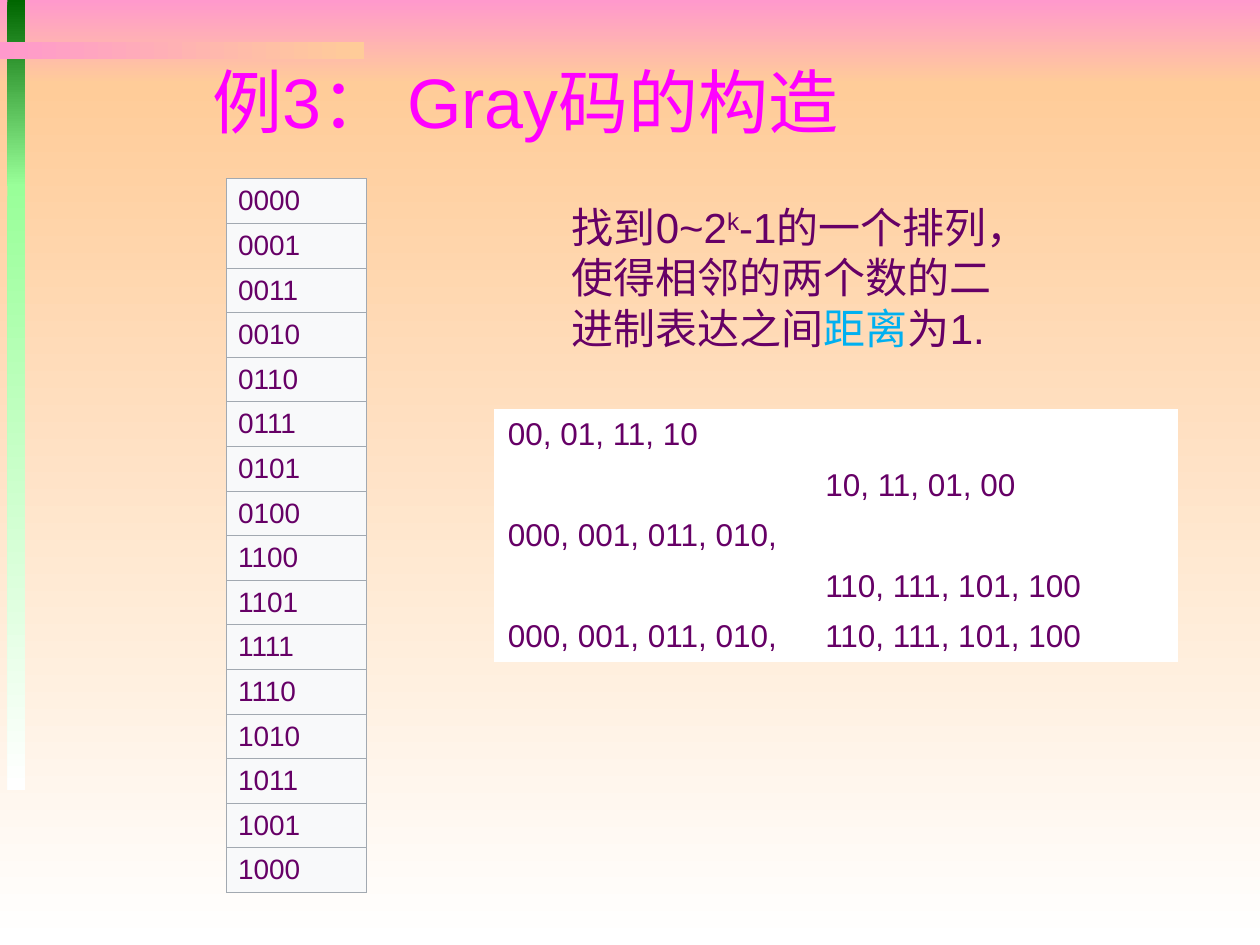
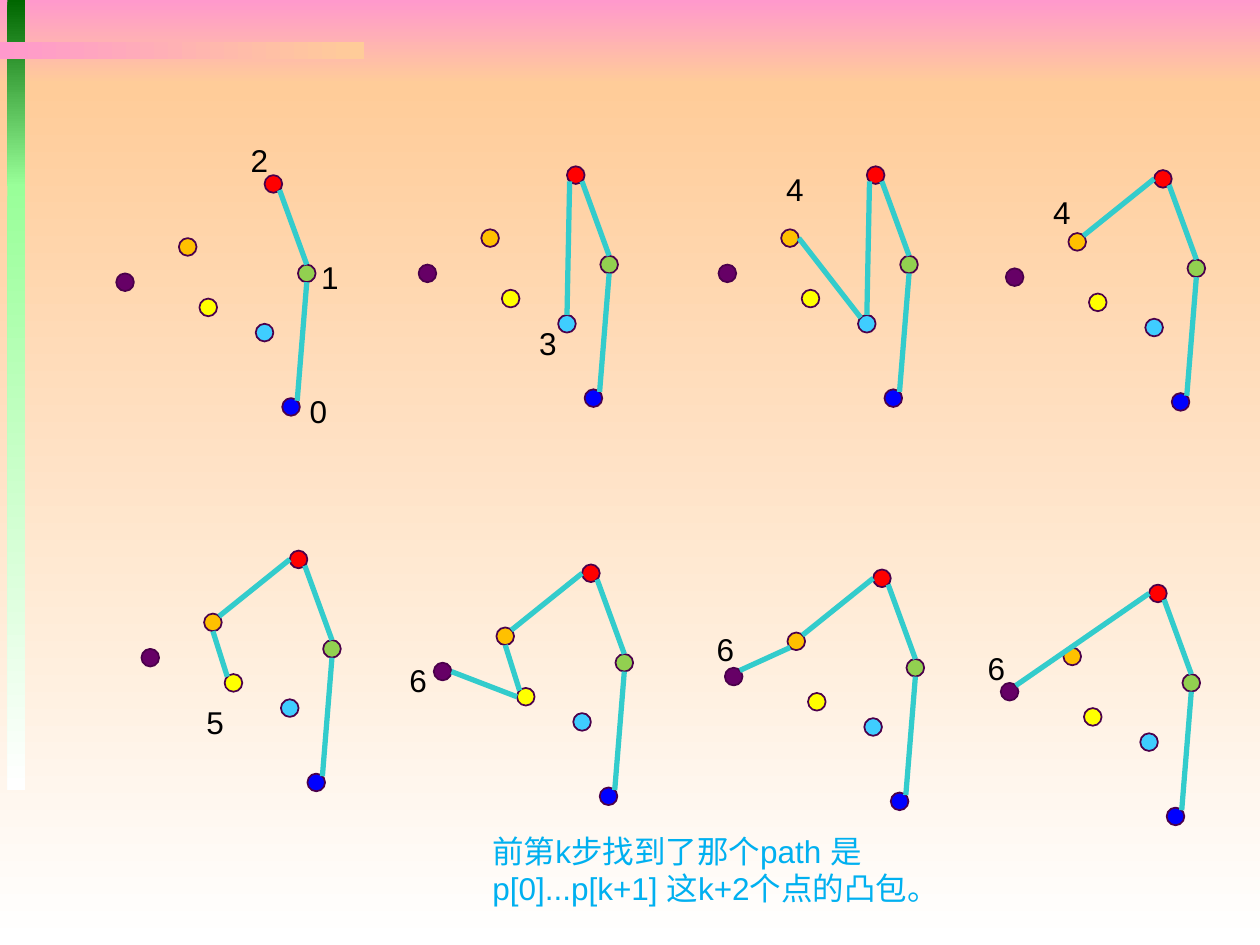
from lxml.etree import SubElement
from pptx import Presentation
from pptx.dml.color import RGBColor
from pptx.enum.shapes import MSO_CONNECTOR, MSO_SHAPE
from pptx.enum.text import MSO_ANCHOR, MSO_AUTO_SIZE, PP_ALIGN
from pptx.oxml import parse_xml
from pptx.oxml.ns import nsdecls, qn
from pptx.util import Inches, Pt

COLORS = {
    "pink": "FF99CC", "peach": "FFCC99", "white": "FFFFFF",
    "dark green": "006600", "light green": "99FF99",
    "title": "FF00FF", "text": "660066", "accent": "00B0F0", "label": "000000",
    "code fill": "F8F9FA", "code border": "A2A9B1",
    "red": "FF0000", "green": "92D050", "purple": "660066", "cyan": "3FCDFF",
    "blue": "0000FF", "yellow": "FFFF00", "orange": "FFC000",
    "dot line": "4B004B", "hull": "33CCCC",
}
RGB = {name: RGBColor.from_string(value) for name, value in COLORS.items()}
FONT = "Arial"
COLUMNS, ROWS = 100, 75
UNIT = Inches(0.1)  # one square of the slide grid


def grid(*lengths):
    """Turn grid columns and rows into slide lengths."""
    return [round(length * UNIT) for length in lengths]


def add_run(paragraph, text, size, color):
    run = paragraph.add_run()
    run.text = text
    run.font.name = FONT
    run.font.size = Pt(size)
    run.font.color.rgb = RGB[color]
    return run


presentation = Presentation()
presentation.slide_width, presentation.slide_height = grid(COLUMNS, ROWS)
gray_slide = presentation.slides.add_slide(presentation.slide_layouts[5])
hull_slide = presentation.slides.add_slide(presentation.slide_layouts[6])

# Background bands, moved to the master so that both slides share them
DOWN, ACROSS = 270, 0
bands = [
    (0, 0, COLUMNS, 6.7, "pink", "peach", DOWN),
    (0, 6.7, COLUMNS, ROWS - 6.7, "peach", "white", DOWN),
    (0.6, 0, 1.4, 14.8, "dark green", "light green", DOWN),
    (0.6, 14.6, 1.4, 48.1, "light green", "white", DOWN),
    (0, 3.3, 28.9, 1.4, "pink", "peach", ACROSS),
]
for *box, start_color, end_color, angle in bands:
    band = gray_slide.shapes.add_shape(MSO_SHAPE.RECTANGLE, *grid(*box))
    band.shadow.inherit = False
    band.line.fill.background()
    band.fill.gradient()
    band.fill.gradient_angle = angle
    for stop, position, color in zip(band.fill.gradient_stops, (0, 1),
                                     (start_color, end_color)):
        stop.position = position
        stop.color.rgb = RGB[color]
    presentation.slide_master.shapes.element.append(band.element)

# Slide 1: Gray code
title = gray_slide.shapes.title
title.left, title.top, title.width, title.height = grid(14.7, 4.3, 80.1, 7.4)
title_frame = title.text_frame
title_frame.auto_size = MSO_AUTO_SIZE.NONE
title_frame.vertical_anchor = MSO_ANCHOR.MIDDLE
title_frame.margin_left = Inches(0.22)
title_frame.paragraphs[0].alignment = PP_ALIGN.LEFT
add_run(title_frame.paragraphs[0], "例3： Gray码的构造", 40, "title")

task_frame = gray_slide.shapes.add_textbox(*grid(44.4, 15.5, 35.4, 16.5)).text_frame
task_frame.word_wrap = True
task = task_frame.paragraphs[0]
add_run(task, "找到0~2", 24, "text")
exponent = add_run(task, "k", 24, "text")
exponent.font._element.set("baseline", "30000")
add_run(task, "-1的一个排列，使得相邻的两个数的二进制表达之间", 24, "text")
add_run(task, "距离", 24, "accent")
add_run(task, "为1.", 24, "text")

reflection_rows = [
    ("00, 01, 11, 10", ""),
    ("", "10, 11, 01, 00"),
    ("000, 001, 011, 010,", ""),
    ("", "110, 111, 101, 100"),
    ("000, 001, 011, 010,", "110, 111, 101, 100"),
]
gray_codes = [(f"{number ^ (number >> 1):04b}",) for number in range(16)]
# left, top, column widths, row height, rows, text size, fill, border, margins
tables = [
    (39.3, 32.5, (25.2, 28.9), 4, reflection_rows, 18, "white", None, (1, 0.5)),
    (18, 14.2, (11.1,), 3.54, gray_codes, 16, "code fill", "code border", (0.9, 0.4)),
]
for left, top, widths, row_height, rows, size, fill, border, margins in tables:
    box = grid(left, top, sum(widths), row_height * len(rows))
    table = gray_slide.shapes.add_table(len(rows), len(widths), *box).table
    table.first_row = table.horz_banding = False
    for column, width in zip(table.columns, widths):
        column.width = grid(width)[0]
    for row, texts in zip(table.rows, rows):
        row.height = grid(row_height)[0]
        for cell, text in zip(row.cells, texts):
            cell.vertical_anchor = MSO_ANCHOR.MIDDLE
            cell.margin_left = cell.margin_right = grid(margins[0])[0]
            cell.margin_top = cell.margin_bottom = grid(margins[1])[0]
            cell.fill.solid()
            cell.fill.fore_color.rgb = RGB[fill]
            if text:
                add_run(cell.text_frame.paragraphs[0], text, size, "text")
            if border:
                properties = cell._tc.get_or_add_tcPr()
                for index, side in enumerate("LRTB"):
                    properties.insert(index, parse_xml(
                        f'<a:ln{side} {nsdecls("a")} w="{Pt(0.75)}"><a:solidFill>'
                        f'<a:srgbClr val="{COLORS[border]}"/></a:solidFill></a:ln{side}>'))

# Slide 2: eight steps of the convex hull scan
DOT = 1.4
# Dot places, as columns and rows from the red dot
dot_offsets = {
    "red": (0, 0), "green": (2.65, 7.1), "purple": (-11.77, 7.8),
    "cyan": (-0.7, 11.8), "blue": (1.4, 17.7), "yellow": (-5.17, 9.8),
    "orange": (-6.8, 5),
}
# Points on a dot's edge, as shares of its size
edges = {
    "top": (0.5, 0), "top left": (0.15, 0.15), "left": (0, 0.5),
    "bottom left": (0.15, 0.85), "bottom": (0.5, 1),
    "bottom right": (0.85, 0.85), "right": (1, 0.5), "top right": (0.85, 0.15),
}
first_two = [("blue", "top right", "green", "bottom"),
             ("green", "top", "red", "bottom right")]
cyan_red = ("cyan", "top", "red", "bottom left")
cyan_orange = ("cyan", "top left", "orange", "right")
orange_red = ("orange", "top right", "red", "left")
orange_yellow = ("orange", "bottom", "yellow", "top left")
purple_yellow = ("purple", "right", "yellow", "left")
purple_orange = ("purple", "top right", "orange", "bottom left")
purple_red = ("purple", "top right", "red", "left")
# Red dot's column and row, segments added to the first two, labels
steps = [
    (21, 13.9, [], [("2", -2.1, -3.2), ("1", 3.5, 6.1), ("0", 2.6, 16.7)]),
    (45, 13.2, [cyan_red], [("3", -3.2, 12)]),
    (68.8, 13.2, [cyan_red, cyan_orange], [("4", -7.4, -0.2)]),
    (91.6, 13.5, [orange_red], [("4", -9, 1.3)]),
    (23, 43.7, [orange_red, orange_yellow], [("5", -7.6, 11.6)]),
    (46.2, 44.8, [orange_red, orange_yellow, purple_yellow], [("6", -14.7, 7.2)]),
    (69.3, 45.2, [orange_red, purple_orange], [("6", -13.4, 4.3)]),
    (91.2, 46.4, [purple_red], [("6", -13.8, 4.6)]),
]
for column, row, segments, labels in steps:
    for color, (across, down) in dot_offsets.items():
        dot = hull_slide.shapes.add_shape(
            MSO_SHAPE.OVAL, *grid(column + across, row + down, DOT, DOT))
        dot.shadow.inherit = False
        dot.fill.solid()
        dot.fill.fore_color.rgb = RGB[color]
        dot.line.color.rgb = RGB["dot line"]
        dot.line.width = Pt(1)
    for start, start_edge, end, end_edge in first_two + segments:
        ends = []
        for color, edge in ((start, start_edge), (end, end_edge)):
            ends += [column + dot_offsets[color][0] + DOT * edges[edge][0],
                     row + dot_offsets[color][1] + DOT * edges[edge][1]]
        segment = hull_slide.shapes.add_connector(MSO_CONNECTOR.STRAIGHT, *grid(*ends))
        segment.line.color.rgb = RGB["hull"]
        segment.line.width = Pt(3)
        SubElement(segment.element.spPr, qn("a:effectLst"))
    for text, across, down in labels:
        label = hull_slide.shapes.add_textbox(*grid(column + across, row + down, 6, 4))
        label.text_frame.word_wrap = True
        add_run(label.text_frame.paragraphs[0], text, 18, "label")

caption_frame = hull_slide.shapes.add_textbox(*grid(38.1, 65.5, 45.7, 7.1)).text_frame
caption_frame.word_wrap = True
caption = caption_frame.paragraphs[0]
add_run(caption, "前第k步找到了那个path 是", 18, "accent")
caption.add_line_break()
add_run(caption, "p[0]...p[k+1] 这k+2个点的凸包。", 18, "accent")

presentation.save("out.pptx")
